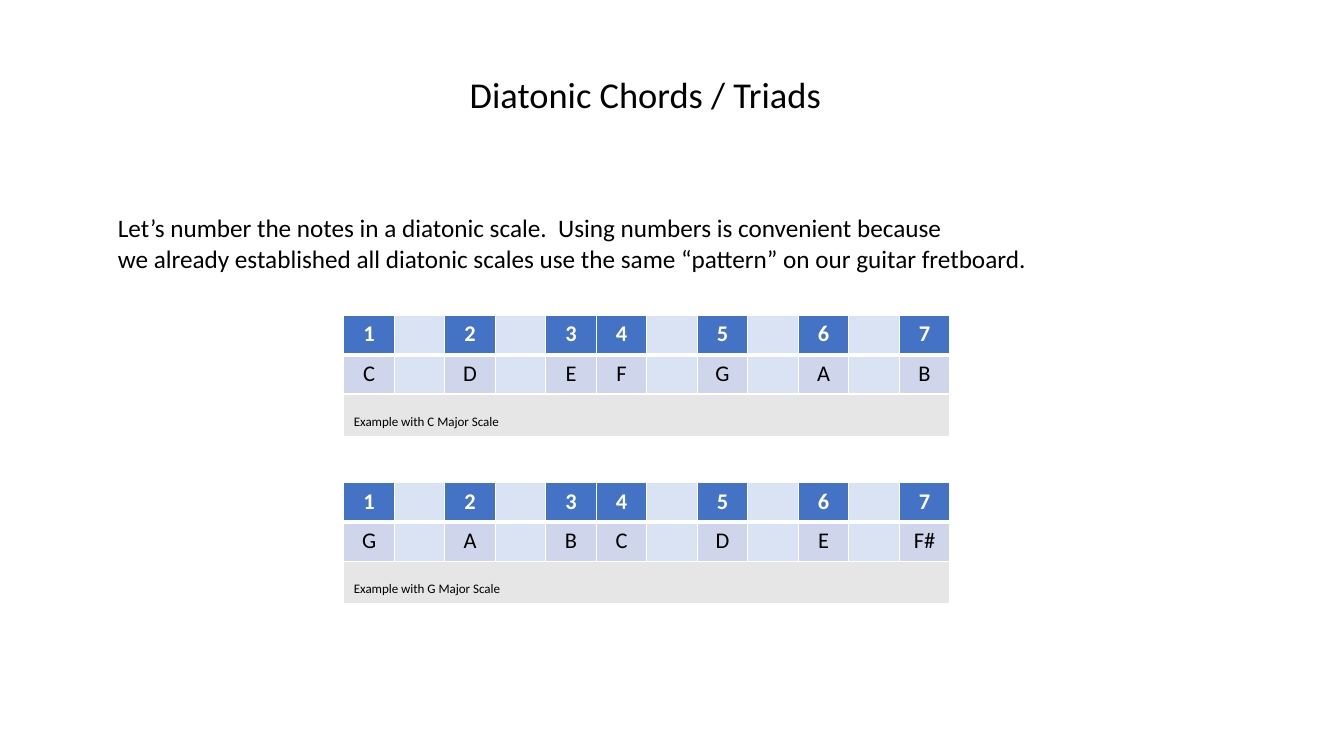
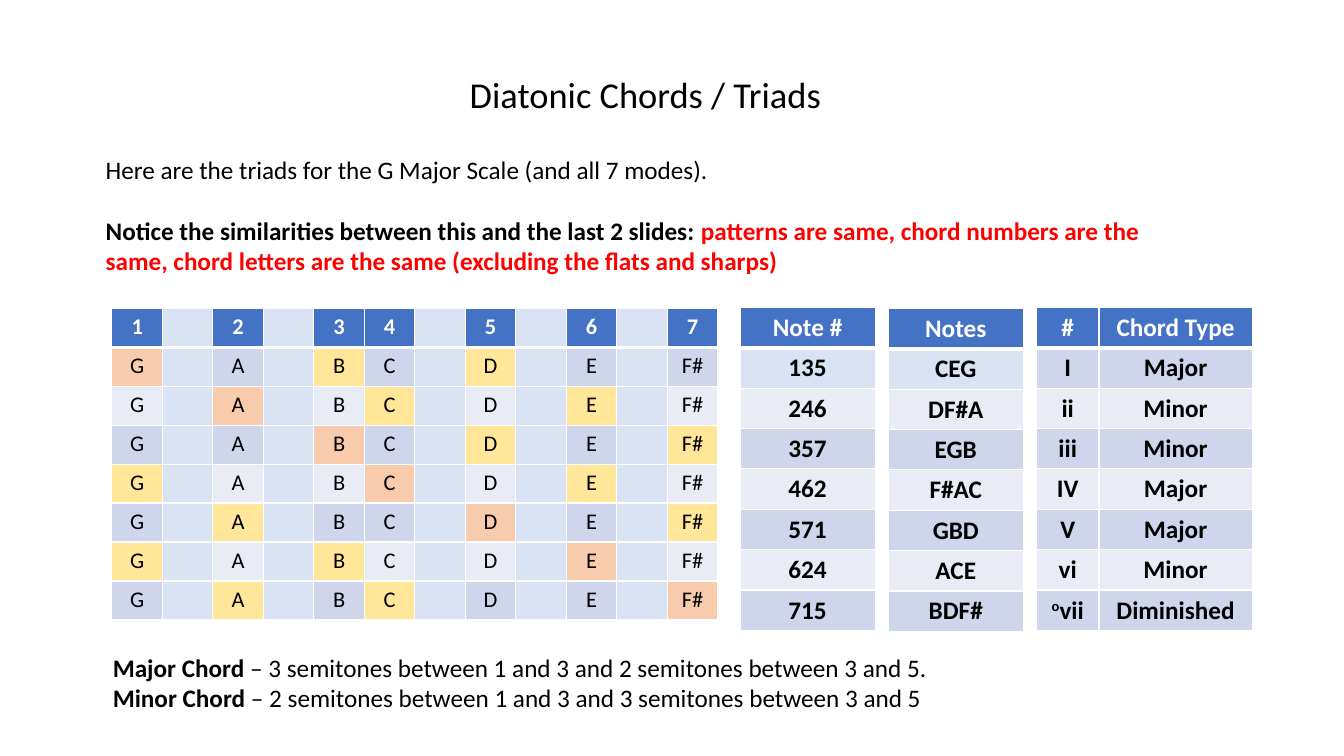
from collections import namedtuple

from lxml import etree
from pptx import Presentation
from pptx.dml.color import RGBColor
from pptx.enum.text import MSO_AUTO_SIZE, PP_ALIGN
from pptx.oxml.ns import qn
from pptx.util import Inches, Pt

CENTER, LEFT = PP_ALIGN.CENTER, PP_ALIGN.LEFT
GROW = MSO_AUTO_SIZE.SHAPE_TO_FIT_TEXT

BLACK = RGBColor(0x00, 0x00, 0x00)
WHITE = RGBColor(0xFF, 0xFF, 0xFF)
RED = RGBColor(0xFF, 0x00, 0x00)
HEADER_BLUE = RGBColor(0x44, 0x72, 0xC4)
GAP_BLUE = RGBColor(0xDA, 0xE3, 0xF3)
BAND_DARK = RGBColor(0xCF, 0xD5, 0xEA)
BAND_LIGHT = RGBColor(0xE9, 0xEB, 0xF5)
CAPTION_GRAY = RGBColor(0xE7, 0xE6, 0xE6)
ROOT_ORANGE = RGBColor(0xF8, 0xCB, 0xAD)
CHORD_YELLOW = RGBColor(0xFF, 0xE6, 0x99)

FONT = "Calibri"
TITLE_SIZE, BODY_SIZE, SCALE_SIZE = 26, 18, 16
SEMITONES = 12
NOTE_COLUMNS = (0, 2, 4, 5, 7, 9, 11)
C_MAJOR = ("C", "D", "E", "F", "G", "A", "B")
G_MAJOR = ("G", "A", "B", "C", "D", "E", "F#")
SCALE_WIDTH = 6.01

Span = namedtuple("Span", "text bold color baseline", defaults=(False, BLACK, 0))
Cell = namedtuple("Cell", "spans fill align", defaults=(CENTER,))


def add_spans(paragraph, spans, size):
    for span in spans:
        for index, line in enumerate(span.text.split("\n")):
            if index:
                paragraph.add_line_break()
            run = paragraph.add_run()
            run.text = line
            run.font.name = FONT
            run.font.size = Pt(size)
            run.font.bold = span.bold
            run.font.color.rgb = span.color
            if span.baseline:
                run._r.get_or_add_rPr().set("baseline", str(span.baseline * 1000))


def add_text(slide, box, paragraphs, size=BODY_SIZE, wrap=True, gap=0):
    frame = slide.shapes.add_textbox(*map(Inches, box)).text_frame
    frame.word_wrap = wrap
    frame.auto_size = GROW
    for index, spans in enumerate(paragraphs):
        paragraph = frame.add_paragraph() if index else frame.paragraphs[0]
        if index:
            paragraph.space_before = Pt(gap)
        add_spans(paragraph, spans, size)


def add_borders(cell, top, bottom):
    properties = cell._tc.get_or_add_tcPr()
    for tag, width in (("a:lnL", 1), ("a:lnR", 1), ("a:lnT", top), ("a:lnB", bottom)):
        line = etree.SubElement(properties, qn(tag), w=str(Pt(width)))
        fill = etree.SubElement(line, qn("a:solidFill"))
        etree.SubElement(fill, qn("a:srgbClr"), val=str(WHITE))


def add_grid(slide, left, top, widths, heights, rows, size):
    box = map(Inches, (left, top, sum(widths), sum(heights)))
    table = slide.shapes.add_table(len(heights), len(widths), *box).table
    table.first_row = table.horz_banding = False
    for column, width in zip(table.columns, widths):
        column.width = Inches(width)
    for row, height in zip(table.rows, heights):
        row.height = Inches(height)
    for row_index, row in enumerate(rows):
        for column_index, content in enumerate(row):
            cell = table.cell(row_index, column_index)
            add_borders(cell, 3 if row_index == 1 else 1, 1 if row_index else 3)
            cell.fill.solid()
            cell.fill.fore_color.rgb = content.fill
            paragraph = cell.text_frame.paragraphs[0]
            paragraph.alignment = content.align
            add_spans(paragraph, content.spans, size)
            if not content.spans:
                etree.SubElement(paragraph._p, qn("a:endParaRPr"), sz=str(size * 100))
    return table


def header_cell(text):
    return Cell([Span(text, True, WHITE)], HEADER_BLUE)


def scale_row(note_cells):
    row = [Cell([], GAP_BLUE)] * SEMITONES
    for column, cell in zip(NOTE_COLUMNS, note_cells):
        row[column] = cell
    return row


def number_row():
    return scale_row([header_cell(str(number)) for number in range(1, 8)])


def band(index):
    return BAND_LIGHT if index % 2 else BAND_DARK


def add_scale(slide, left, top, notes, caption):
    caption_cell = Cell([Span(caption, baseline=-25)], CAPTION_GRAY, LEFT)
    rows = [number_row(),
            scale_row([Cell([Span(note)], BAND_DARK) for note in notes]),
            [caption_cell]]
    widths = [SCALE_WIDTH / SEMITONES] * SEMITONES
    table = add_grid(slide, left, top, widths, [0.39, 0.39, 0.42], rows, SCALE_SIZE)
    table.cell(2, 0).merge(table.cell(2, SEMITONES - 1))


def add_triads(slide, left, top, height, notes):
    rows = [number_row()]
    for root in range(len(notes)):
        fills = [band(root)] * len(notes)
        fills[root] = ROOT_ORANGE
        for step in (2, 4):
            fills[(root + step) % len(notes)] = CHORD_YELLOW
        rows.append(scale_row([Cell([Span(note)], fill) for note, fill in zip(notes, fills)]))
    widths = [SCALE_WIDTH / SEMITONES] * SEMITONES
    add_grid(slide, left, top, widths, [height / len(rows)] * len(rows), rows, SCALE_SIZE)


def add_list(slide, left, top, widths, headers, records, first_fill=BAND_DARK):
    rows = [[header_cell(header) for header in headers]]
    for index, record in enumerate(records):
        fill = band(index) if index else first_fill
        rows.append([Cell(value if isinstance(value, list) else [Span(value, True)], fill)
                     for value in record])
    add_grid(slide, left, top, widths, [0.4] * len(rows), rows, BODY_SIZE)


def new_slide(presentation):
    slide = presentation.slides.add_slide(presentation.slide_layouts[6])
    add_text(slide, (4.56, 0.67, 3.72, 0.54), [[Span("Diatonic Chords / Triads")]],
             TITLE_SIZE, wrap=False)
    return slide


def build_numbering(presentation):
    slide = new_slide(presentation)
    add_text(slide, (1.07, 2.06, 10.94, 0.71), [[Span(
        "Let’s number the notes in a diatonic scale.  Using numbers is convenient because\n"
        "we already established all diatonic scales use the same “pattern” on our guitar fretboard.")]])
    add_scale(slide, 3.41, 3.13, C_MAJOR, "Example with C Major Scale")
    add_scale(slide, 3.41, 4.79, G_MAJOR, "Example with G Major Scale")


def build_triads(presentation):
    slide = new_slide(presentation)
    add_text(slide, (0.95, 1.48, 10.94, 1.31), [
        [Span("Here are the triads for the G Major Scale (and all 7 modes).")],
        [Span("Notice the similarities between this and the last 2 slides: ", True),
         Span("patterns are same, chord numbers are the same, chord letters are the same "
              "(excluding the flats and sharps)", True, RED)],
    ], gap=22)
    add_triads(slide, 1.11, 3.06, 3.09, G_MAJOR)
    numbers = ("135", "246", "357", "462", "571", "624", "715")
    chords = ("CEG", "DF#A", "EGB", "F#AC", "GBD", "ACE", "BDF#")
    add_list(slide, 7.34, 3.05, [1.34], ["Note #"], zip(numbers), GAP_BLUE)
    add_list(slide, 8.81, 3.06, [1.34], ["Notes"], zip(chords), GAP_BLUE)
    diminished = [Span("o", True, baseline=30), Span("vii", True)]
    degrees = ("I", "ii", "iii", "IV", "V", "vi", diminished)
    types = ("Major", "Minor", "Minor", "Major", "Major", "Minor", "Diminished")
    add_list(slide, 10.28, 3.05, [0.62, 1.52], ["#", "Chord Type"], zip(degrees, types))
    add_text(slide, (1.02, 6.42, 8.35, 0.71), [
        [Span("Major Chord ", True),
         Span("– 3 semitones between 1 and 3 and 2 semitones between 3 and 5.")],
        [Span("Minor Chord", True),
         Span(" – 2 semitones between 1 and 3 and 3 semitones between 3 and 5")],
    ], wrap=False)


presentation = Presentation()
presentation.slide_width = Inches(13.33)
presentation.slide_height = Inches(7.5)
build_numbering(presentation)
build_triads(presentation)
presentation.save("out.pptx")
